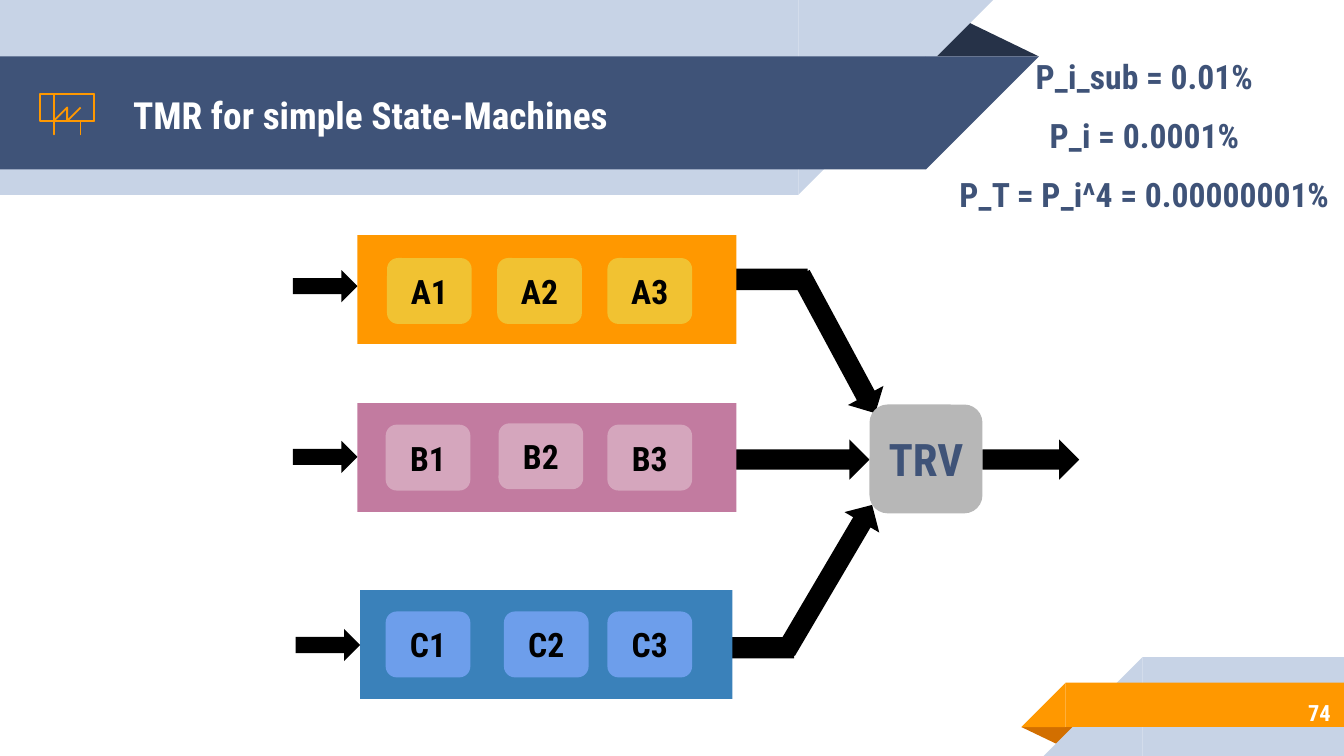
import pptx
import pptx.dml.color
import pptx.enum.shapes
import pptx.enum.text
import pptx.util

COLUMNS, ROWS = 100, 56.25
CELL = pptx.util.Inches(0.1)
FONT = "Roboto Condensed"
NAVY, PALE, ORANGE = "3F5378", "C7D3E6", "FF9800"
BLACK, WHITE = "000000", "FFFFFF"
KIND = pptx.enum.shapes.MSO_SHAPE
ALIGN = pptx.enum.text.PP_ALIGN

LANES = [
    ("A", 26.6, 17.5, 28.2, ORANGE, "F1C232", 20.1, [(28.8, 19.2), (37, 19.2), (45.2, 19.2)]),
    ("B", 26.6, 30, 28.2, "C27BA0", "D5A6BD", 32.8, [(28.7, 31.6), (37.1, 31.5), (45.2, 31.6)]),
    ("C", 26.8, 43.9, 27.7, "3A81BA", "6D9EEB", 46.8, [(28.7, 45.5), (37.5, 45.5), (45.2, 45.5)]),
]

EASEL_CLOSED = [
    [(3.5, 7.1), (6.7, 7.1), (6.8, 7.2), (6.8, 9.3), (6.7, 9.4), (3.5, 9.4), (3.4, 9.3), (3.4, 7.2)],
    [(3.6, 7.3), (3.6, 9.2), (6.6, 9.2), (6.6, 7.3)],
]
EASEL_OPEN = [
    [(5.2, 7.1), (5.2, 7), (5.1, 6.9), (5, 7), (5, 7.1)],
    [(4.2, 9.4), (3.9, 9.9), (4, 10), (4.1, 10), (4.4, 9.4)],
    [(5.8, 9.4), (6.1, 10), (6.2, 10), (6.3, 9.9), (6, 9.4)],
    [(6, 7.8), (5.2, 8.6), (5, 8.6), (4.6, 8.2), (4.1, 8.7)],
    [(5.5, 7.7), (6, 7.7), (6.1, 7.8), (6.1, 8.3)],
]


def color(value):
    """Turn a hex string into a colour."""
    return pptx.dml.color.RGBColor.from_string(value)


def cells(*counts):
    """Turn grid counts into lengths."""
    return [round(count * CELL) for count in counts]


def write(frame, lines, size, ink, align=ALIGN.CENTER, gap=0):
    """Fill a text frame with bold lines, centred vertically."""
    frame.word_wrap = True
    frame.auto_size = pptx.enum.text.MSO_AUTO_SIZE.NONE
    frame.vertical_anchor = pptx.enum.text.MSO_ANCHOR.MIDDLE
    frame.margin_left = frame.margin_right = CELL
    frame.margin_top = frame.margin_bottom = CELL
    for index, line in enumerate(lines):
        paragraph = frame.add_paragraph() if index else frame.paragraphs[0]
        paragraph.alignment = align
        paragraph.space_before = pptx.util.Pt(gap if index else 0)
        run = paragraph.add_run()
        run.text = line
        run.font.name = FONT
        run.font.size = pptx.util.Pt(size)
        run.font.bold = True
        run.font.color.rgb = color(ink)


def add_block(slide, kind, place, fill, turn=0):
    """Add a flat filled shape at a grid place."""
    block = slide.shapes.add_shape(kind, *cells(*place))
    block.shadow.inherit = False
    block.fill.solid()
    block.fill.fore_color.rgb = color(fill)
    block.line.fill.background()
    block.rotation = turn
    return block


def add_module(slide, place, fill, label, size, ink):
    """Add a rounded block with a label."""
    module = add_block(slide, KIND.ROUNDED_RECTANGLE, place, fill)
    write(module.text_frame, [label], size, ink)


def add_arrow(slide, place, turn=0):
    """Add a black block arrow."""
    add_block(slide, KIND.RIGHT_ARROW, place, BLACK, turn)


def add_fold(slide, place, fill, turn=0):
    """Add the shaded fold behind a ribbon."""
    fold = add_block(slide, KIND.ISOSCELES_TRIANGLE, place, fill, turn)
    fold.adjustments[0] = 0.32


def add_top_ribbon(slide, top, width, height, fill):
    """Add a ribbon from the left edge with a slanted right end."""
    add_block(slide, KIND.RECTANGLE, (0, top, width, height), fill)
    add_block(slide, KIND.RIGHT_TRIANGLE, (width, top, height, height), fill, 90)


def add_bottom_ribbon(slide, left, top, height, fill):
    """Add a ribbon to the right edge with a slanted left end."""
    add_block(slide, KIND.RECTANGLE, (left, top, COLUMNS - left, height), fill)
    add_block(slide, KIND.RIGHT_TRIANGLE, (left - height, top, height, height), fill, 270)


def add_stroke(slide, points, closed):
    """Add one orange outline of the easel."""
    builder = slide.shapes.build_freeform(*points[0], scale=float(CELL))
    builder.add_line_segments(points[1:], close=closed)
    stroke = builder.convert_to_shape()
    stroke.shadow.inherit = False
    stroke.fill.background()
    stroke.line.color.rgb = color(ORANGE)
    stroke.line.width = pptx.util.Pt(0.96)


def fill_placeholder(slide, index, place, lines, size, ink, align, gap=0):
    """Move a template placeholder to the front and fill it."""
    holder = slide.placeholders[index]
    slide.shapes.element.append(holder.element)
    holder.left, holder.top, holder.width, holder.height = cells(*place)
    write(holder.text_frame, lines, size, ink, align, gap)


def add_lane(slide, letter, left, top, width, fill, module_fill, arrow_top, spots):
    """Add one redundant lane with its input arrow and three modules."""
    add_block(slide, KIND.RECTANGLE, (left, top, width, 8.1), fill)
    add_arrow(slide, (left - 4.8, arrow_top, 4.8, 2.4))
    for number, spot in enumerate(spots, 1):
        add_module(slide, (*spot, 6.3, 4.9), module_fill, f"{letter}{number}", 18, BLACK)


def add_frame(slide):
    """Add the ribbons, the easel and the page number."""
    add_fold(slide, (68.8, 1.4, 8.5, 2.8), "263248")
    add_top_ribbon(slide, 0, 59.4, 14.5, PALE)
    add_top_ribbon(slide, 4.2, 68.9, 8.4, NAVY)
    add_fold(slide, (76, 54.1, 4.3, 1.4), "D26F00", 180)
    add_bottom_ribbon(slide, 85, 48.9, ROWS - 48.9, PALE)
    add_bottom_ribbon(slide, 79.3, 50.8, 3.3, ORANGE)
    for points in EASEL_CLOSED:
        add_stroke(slide, points, True)
    for points in EASEL_OPEN:
        add_stroke(slide, points, False)
    page = slide.shapes.add_textbox(*cells(83.7, 51.3, 16.3, 3.5))
    write(page.text_frame, ["74"], 12, WHITE, ALIGN.RIGHT)


def add_voter(slide):
    """Add the arrows into the voter, the voter and its output."""
    add_block(slide, KIND.RECTANGLE, (54.5, 20, 5.6, 1.6), BLACK)
    add_block(slide, KIND.RECTANGLE, (54, 47.4, 5.1, 1.6), BLACK)
    add_arrow(slide, (56.5, 24.1, 11.7, 3), 61.7)
    add_arrow(slide, (54, 32.7, 10.7, 3))
    add_arrow(slide, (55.4, 41.5, 12.6, 3), 300.5)
    add_arrow(slide, (73.1, 32.7, 7.2, 3))
    add_module(slide, (64.7, 30.1, 8.4, 8.1), "B7B7B7", "TRV", 24, NAVY)


def main():
    """Build and save the slide."""
    deck = pptx.Presentation()
    deck.slide_width, deck.slide_height = cells(COLUMNS, ROWS)
    slide = deck.slides.add_slide(deck.slide_layouts[0])
    add_frame(slide)
    fill_placeholder(slide, 0, (8.9, 4.3, 59.8, 8.4), ["TMR for simple State-Machines"],
                     20, WHITE, ALIGN.LEFT)
    odds = ["P_i_sub = 0.01%", "P_i = 0.0001%", "P_T = P_i^4 = 0.00000001%"]
    fill_placeholder(slide, 1, (70.3, 3.5, 29.7, 13.1), odds, 18, NAVY, ALIGN.CENTER, 10)
    add_voter(slide)
    for lane in LANES:
        add_lane(slide, *lane)
    deck.save("out.pptx")


if __name__ == "__main__":
    main()
